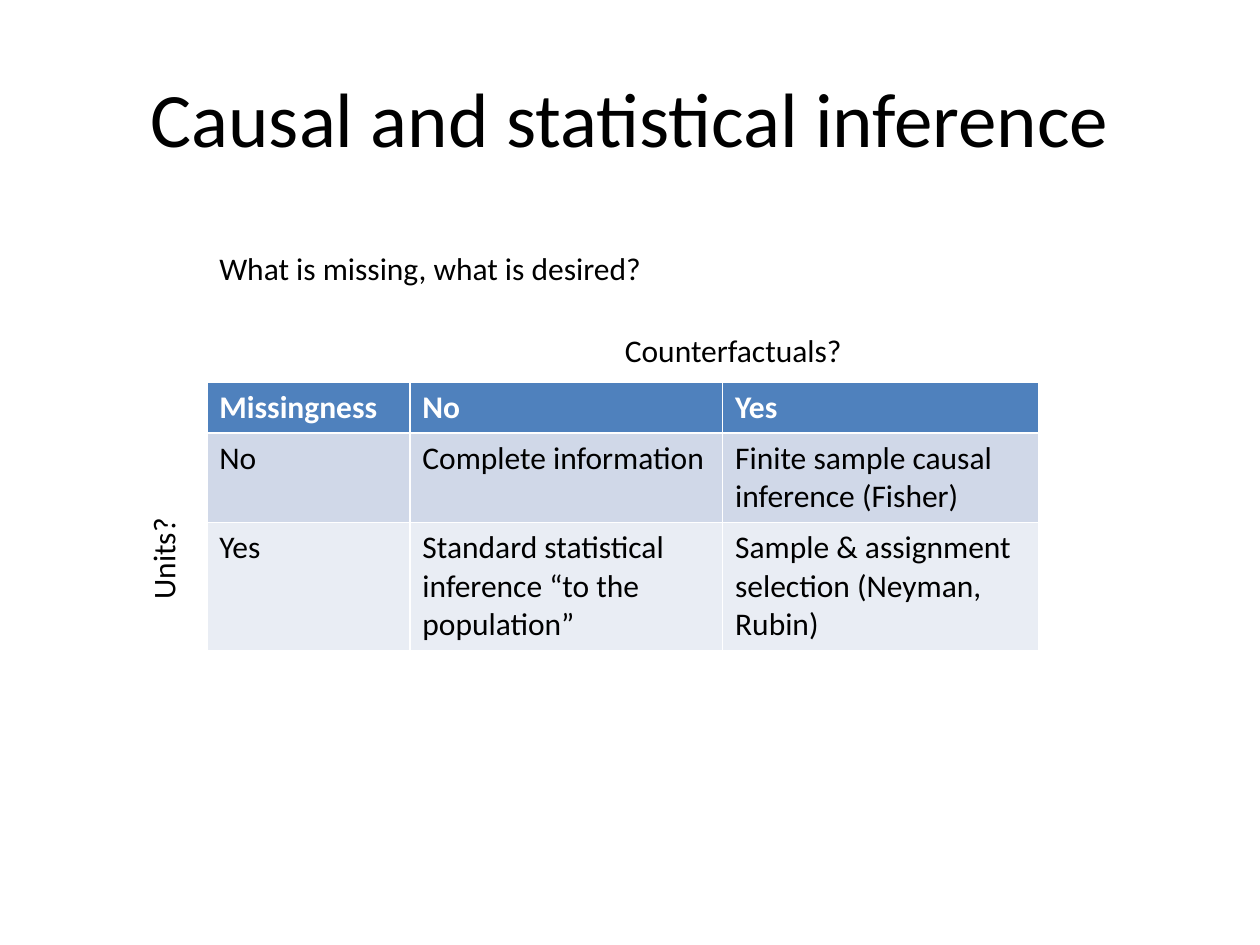
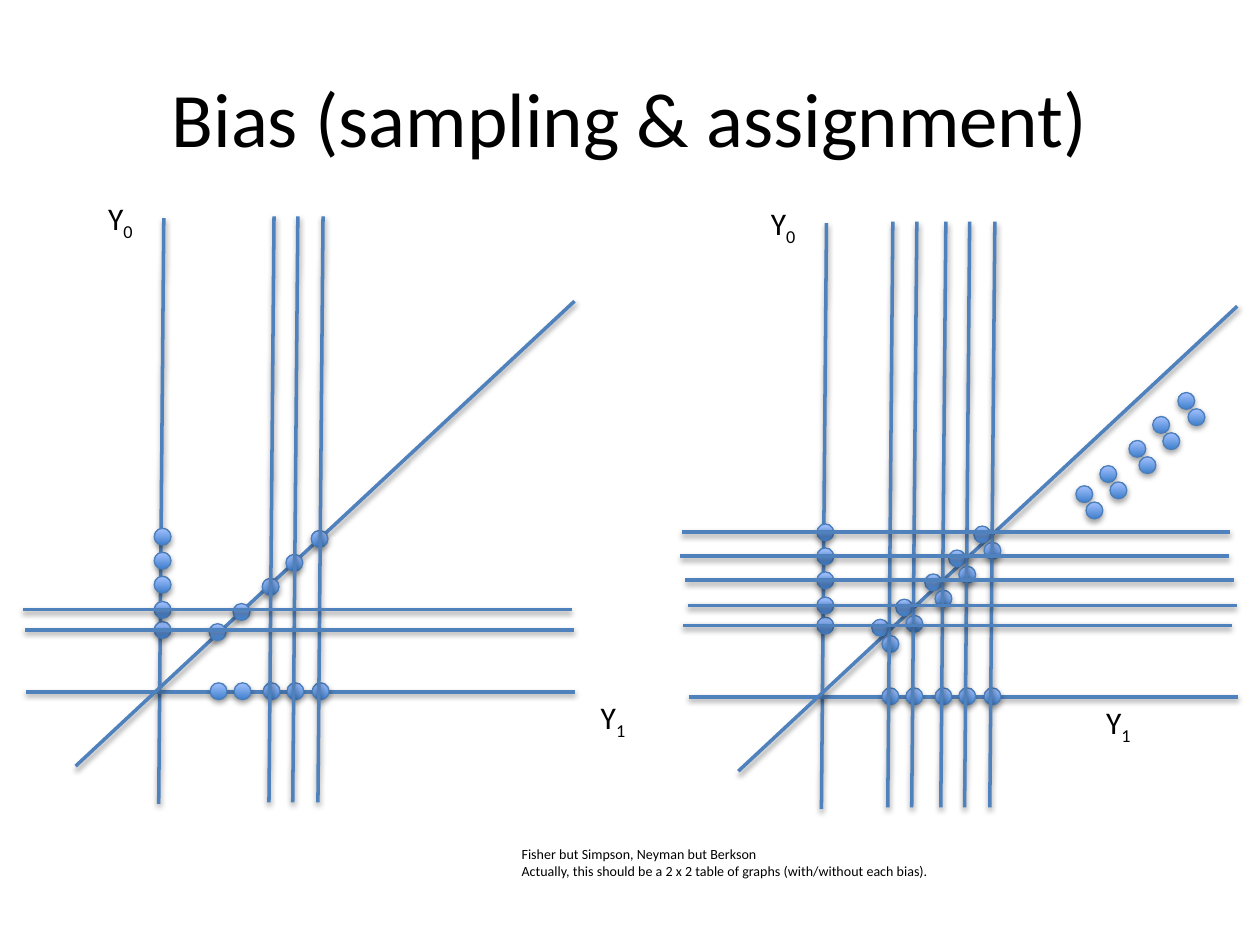
from pptx import Presentation
from pptx.dml.color import RGBColor
from pptx.enum.shapes import MSO_CONNECTOR as Link, MSO_SHAPE as Preset
from pptx.enum.text import MSO_AUTO_SIZE as AutoSize
from pptx.util import Pt

FONT = "Calibri"
BLACK, WHITE, BLUE = "000000", "FFFFFF", "4F81BD"


def paint(target, color):
    target.rgb = RGBColor.from_string(color)


def add_text(slide, left, top, width, height, lines, size=18, subscript=""):
    box = slide.shapes.add_textbox(Pt(left), Pt(top), Pt(width), Pt(height))
    frame = box.text_frame
    frame.word_wrap = False
    frame.auto_size = AutoSize.SHAPE_TO_FIT_TEXT
    for number, line in enumerate(lines):
        paragraph = frame.add_paragraph() if number else frame.paragraphs[0]
        paragraph.add_run().text = line
        if subscript:
            index = paragraph.add_run()
            index.text = subscript
            index._r.get_or_add_rPr().set("baseline", "-25000")
        paragraph.font.name = FONT
        paragraph.font.size = Pt(size)
        paint(paragraph.font.color, BLACK)
    return box


deck = Presentation()
deck.slide_width, deck.slide_height = Pt(720), Pt(540)

slides = []
for heading in ("Causal and statistical inference", "Bias (sampling & assignment)"):
    slide = deck.slides.add_slide(deck.slide_layouts[5])
    title = slide.shapes.title
    title.left, title.top, title.width, title.height = Pt(36), Pt(21.6), Pt(648), Pt(90)
    title.text_frame.text = heading
    title_font = title.text_frame.paragraphs[0].font
    title_font.name, title_font.size = FONT, Pt(44)
    paint(title_font.color, BLACK)
    slides.append(slide)
inference, bias = slides

missingness = [
    ("Missingness", "No", "Yes"),
    ("No", "Complete information", "Finite sample causal inference (Fisher)"),
    ("Yes", "Standard statistical inference “to the population”",
     "Sample & assignment selection (Neyman, Rubin)"),
]
row_fills = (BLUE, "D0D8E8", "E9EDF4")
grid = inference.shapes.add_table(3, 3, Pt(118.2), Pt(218.2), Pt(475.4), Pt(87.6)).table
for column, width in zip(grid.columns, (116, 178.7, 180.7)):
    column.width = Pt(width)
for r, (entries, fill) in enumerate(zip(missingness, row_fills)):
    for c, entry in enumerate(entries):
        cell = grid.cell(r, c)
        cell.text = entry
        cell.fill.solid()
        paint(cell.fill.fore_color, fill)
        font = cell.text_frame.paragraphs[0].font
        font.name, font.size, font.bold = FONT, Pt(18), r == 0
        paint(font.color, BLACK if r else WHITE)

add_text(inference, 350, 185.8, 140.4, 29, ["Counterfactuals?"])
units = add_text(inference, 62.6, 304.6, 61.2, 29, ["Units?"])
units.rotation = 270
add_text(inference, 118.2, 139, 258.5, 29, ["What is missing, what is desired?"])

DOT = 9.6
LEAN, HEIGHT, WIDTH = 2.9, 334.8, 313.6
diagonal = [(119.5, 356.4), (133.2, 344.9), (149.8, 330.5), (163.4, 316.8), (177.8, 303.1)]
pair_dx, pair_dy = 5.8, 9.3
far_dx, far_dy = 116.6, -76.3
panels = [
    dict(dx=0, dy=0, dot_dy=0, paired=False, drop=0.6, y1_left=336.2,
         cuts=diagonal[2:], levels=zip((14.4, 13), diagonal)),
    dict(dx=378.7, dy=2.9, dot_dy=-2.5, paired=True, drop=pair_dx, y1_left=625,
         cuts=diagonal, levels=zip((390.2, 393.1, 391.7, 388.8, 389.5), diagonal)),
]

for panel in panels:
    dx, dy, dot_dy = panel["dx"], panel["dy"], panel["dot_dy"]
    add_text(bias, 54.7 + dx, 110.2 + dy, 29.5, 29, ["Y"], subscript="0")
    add_text(bias, panel["y1_left"], 395.3 + dy, 29.5, 29, ["Y"], subscript="1")

    axes = [
        (93.6 + dx, 124.6 + dy, 93.6 + dx - LEAN, 124.6 + dy + HEIGHT),
        (15 + dx, 395.3 + dy, 15 + dx + WIDTH, 395.3 + dy),
        (43.2 + dx, 437.8 + dy, 328.3 + dx, 172.1 + dy),
    ]
    cuts = [(x + dx + panel["drop"] + 6.2, 123.7 + dy,
             x + dx + panel["drop"] + 6.2 - LEAN, 123.7 + dy + HEIGHT)
            for x, y in panel["cuts"]]
    levels = [(left, y + dot_dy + 3.5, left + WIDTH, y + dot_dy + 3.5)
              for left, (x, y) in panel["levels"]]

    sample = [(x + dx, y + dot_dy) for x, y in diagonal]
    far = []
    if panel["paired"]:
        sample += [(x + pair_dx, y + pair_dy) for x, y in sample]
        far = [(x + far_dx, y + far_dy) for x, y in sample]
    on_y0 = [(88.1 + dx, y + dot_dy - 1.2) for x, y in diagonal]
    on_y1 = [(x + dx + panel["drop"], 390.2 + dy) for x, y in diagonal]

    for lines, dots in ((axes, sample + on_y0 + on_y1), (cuts, far), (levels, [])):
        for ends in lines:
            line = bias.shapes.add_connector(Link.STRAIGHT, *map(Pt, ends)).line
            paint(line.color, BLUE)
            line.width = Pt(2)
        for left, top in dots:
            bias.shapes.add_shape(Preset.OVAL, Pt(left), Pt(top), Pt(DOT), Pt(DOT))

add_text(bias, 291, 479.5, 249, 26.6, [
    "Fisher but Simpson, Neyman but Berkson",
    "Actually, this should be a 2 x 2 table of graphs (with/without each bias).",
], size=8)

deck.save("out.pptx")
